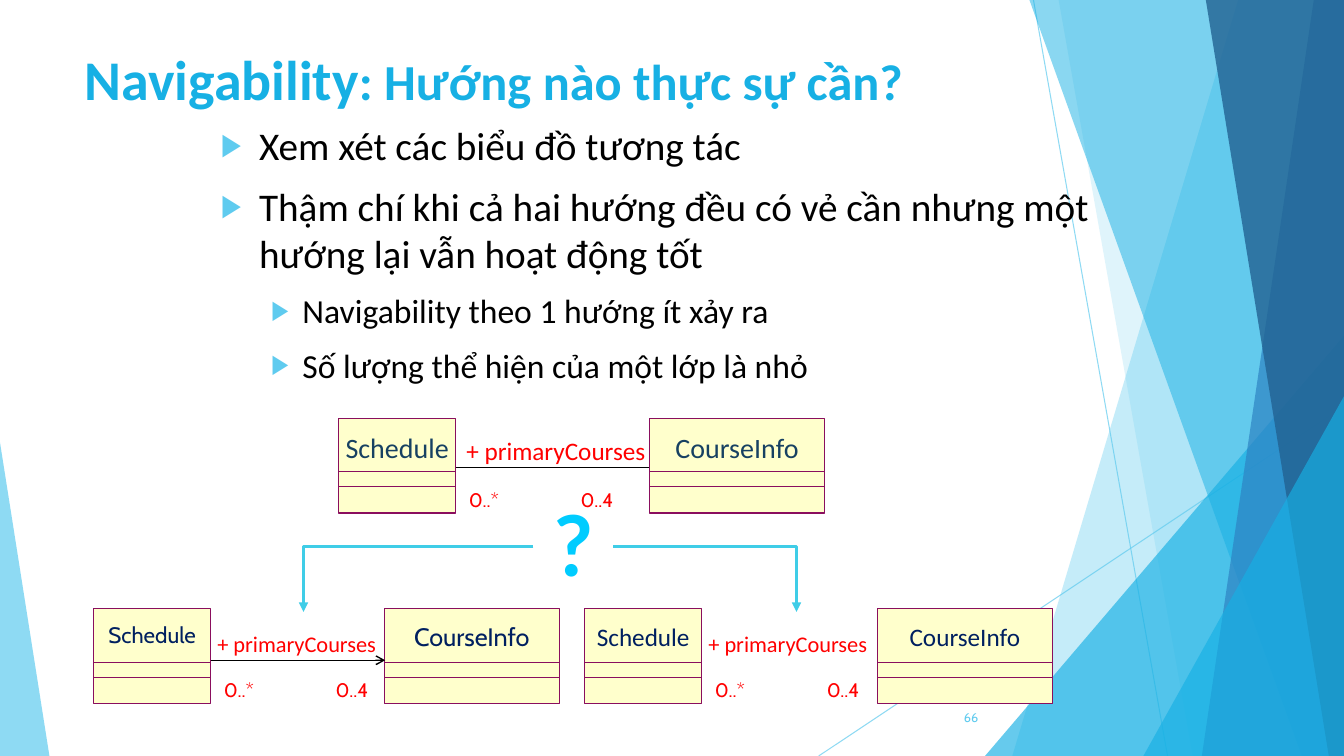
from lxml import etree
from pptx import Presentation, util as u
from pptx.dml.color import RGBColor
from pptx.enum import shapes as s, text as t
from pptx.oxml.ns import qn

INK = {
    "sky": "5FCBEF", "blue": "17B0E4", "steel": "2E83C3", "deep": "226292",
    "black": "000000", "red": "FF0000", "cyan": "00CCFF", "cream": "FFFFCC",
    "plum": "8A0E5E", "navy": "002060", "slate": "174162", "aqua": "3FCDE7",
}
RAYS = [((10.25, 0), (11.58, 7.5)), ((13.33, 4.03), (8.12, 7.5))]
BANDS = [
    ("free", (12.28, 10.04), "sky", 36),
    ("free", (10.5, 11.83), "sky", 20),
    ("tri", (9.77, 3.33, 3.56, 4.17, 1), "blue", 66),
    ("free", (10.21, 12.91), "blue", 50),
    ("free", (13.03, 11.92), "steel", 70),
    ("free", (11.96, 13.18), "deep", 80),
    ("tri", (11.34, 3.93, 1.99, 3.57, 1), "blue", 66),
    ("tri", (0, 4.39, 0.49, 3.11, 0), "sky", 70),
]
TITLE = [("Navigability", 40), (": Hướng nào thực sự cần?", 36)]
POINTS = [
    (0, "Xem xét các biểu đồ tương tác"),
    (0, "Thậm chí khi cả hai hướng đều có vẻ cần nhưng một hướng lại vẫn hoạt động tốt"),
    (1, "Navigability theo 1 hướng ít xảy ra"),
    (1, "Số lượng thể hiện của một lớp là nhỏ"),
]
LEVELS = [(28, 0.38, 0.38), (24, 0.81, 0.31)]
PAIRS = [
    dict(left=0.93, top=6.04, gap=2.88, font="Cabin", sizes=(16, 18), ink="navy",
         role=(1.04, 0.16, 1.86, 0.37, 16)),
    dict(left=5.8, top=6.04, gap=2.9, font="Calibri", sizes=(18, 18), ink="navy",
         role=(1.04, 0.16, 1.86, 0.37, 16)),
    dict(left=3.36, top=4.15, gap=3.08, font="Calibri", sizes=(20, 20), ink="slate",
         role=(1.09, 0.12, 2.05, 0.4, 18)),
]
NAMES = [("Schedule", 1.16), ("CourseInfo", 1.74)]
COUNTS = [("0..*", 1.29, 0.32), ("0..4", 2.4, 0.35)]
FORKS = [[(5.29, 5.42), (3.01, 5.42), (3.01, 6.07)],
         [(6.08, 5.42), (7.9, 5.42), (7.9, 6.07)]]
LINKS = [((4.52, 4.64), (6.44, 4.64), None), ((2.09, 6.55), (3.82, 6.55), "arrow")]


def inch(n):
    return u.Cm(n * 2.54)


def hue(name):
    return RGBColor.from_string(INK[name])


def fade(part, alpha):
    for node in part.iter(qn("a:srgbClr")):
        etree.SubElement(node, qn("a:alpha"), val=str(alpha * 1000))


def stroke(shape, ink, width, tip=None):
    shape.line.color.rgb = hue(ink)
    shape.line.width = u.Pt(width)
    if tip:
        edge = shape._element.spPr.find(qn("a:ln"))
        etree.SubElement(edge, qn("a:tailEnd"), type=tip)


def paint(shape, ink):
    shape.shadow.inherit = False
    shape.fill.solid()
    shape.fill.fore_color.rgb = hue(ink)
    return shape


def rule(start, end, ink, width, tip=None):
    line = slide.shapes.add_connector(
        s.MSO_CONNECTOR.STRAIGHT, *[inch(n) for n in (*start, *end)])
    stroke(line, ink, width, tip)
    etree.SubElement(line._element.spPr, qn("a:effectLst"))
    return line


def trace(dots, close):
    dots = [(inch(x), inch(y)) for x, y in dots]
    pen = slide.shapes.build_freeform(*dots[0])
    pen.add_line_segments(dots[1:], close=close)
    return pen.convert_to_shape()


def write(para, words, size=14, ink="red", font="Calibri", bold=False, align="LEFT"):
    para.alignment = getattr(t.PP_ALIGN, align)
    run = para.add_run()
    run.text = words
    run.font.size = u.Pt(size)
    run.font.name = font
    run.font.bold = bold
    run.font.color.rgb = hue(ink)


def label(words, left, top, wide, high, pad=False, mid=False, **look):
    box = slide.shapes.add_textbox(*[inch(n) for n in (left, top, wide, high)])
    frame = box.text_frame
    frame.word_wrap = pad
    if not pad:
        frame.margin_left = frame.margin_right = 0
        frame.margin_top = frame.margin_bottom = 0
    if mid:
        frame.vertical_anchor = t.MSO_ANCHOR.MIDDLE
    write(frame.paragraphs[0], words, **look)


def place(holder, left, top, wide, high):
    holder.left, holder.top = inch(left), inch(top)
    holder.width, holder.height = inch(wide), inch(high)
    slide.shapes._spTree.append(holder._element)
    frame = holder.text_frame
    frame.word_wrap = True
    frame.auto_size = t.MSO_AUTO_SIZE.NONE
    return frame


def bullet(para, level):
    size, left, hang = LEVELS[level]
    para.level = level
    props = para._p.get_or_add_pPr()
    props.set("marL", str(inch(left)))
    props.set("indent", str(-inch(hang)))
    tint = etree.SubElement(props, qn("a:buClr"))
    etree.SubElement(tint, qn("a:srgbClr"), val=INK["sky"])
    etree.SubElement(props, qn("a:buSzPct"), val="80000")
    etree.SubElement(props, qn("a:buChar"), char="▶")
    return size


def entity(name, left, top, wide, size, font, ink):
    spot = [inch(n) for n in (left, top, wide, 0.94)]
    box = paint(slide.shapes.add_shape(s.MSO_SHAPE.RECTANGLE, *spot), "cream")
    stroke(box, "plum", 0.75)
    for drop in (0.53, 0.68):
        rule((left, top + drop), (left + wide, top + drop), "plum", 0.75)
    label(name, left, top + 0.12, wide, size / 60,
          size=size, font=font, ink=ink, align="CENTER")


deck = Presentation()
deck.slide_width, deck.slide_height = inch(13.33), inch(7.5)
slide = deck.slides.add_slide(deck.slide_layouts[1])

for start, end in RAYS:
    fade(rule(start, end, "sky", 0.75)._element, 70)
for kind, spot, ink, alpha in BANDS:
    if kind == "free":
        band = trace([(spot[0], 0), (13.33, 0), (13.33, 7.5), (spot[1], 7.5)], True)
    else:
        band = slide.shapes.add_shape(
            s.MSO_SHAPE.ISOSCELES_TRIANGLE, *[inch(n) for n in spot[:4]])
        band.adjustments[0] = spot[4]
    paint(band, ink)
    band.line.fill.background()
    fade(band._element, alpha)

head, body = slide.placeholders[0], slide.placeholders[1]
frame = place(head, 0.74, 0.06, 9.4, 1.44)
frame.vertical_anchor = t.MSO_ANCHOR.MIDDLE
for words, size in TITLE:
    write(frame.paragraphs[0], words, size=size, ink="blue", bold=True)

frame = place(body, 2.07, 1.14, 9.21, 5)
frame.margin_left = frame.margin_right = inch(0.12)
frame.margin_top = frame.margin_bottom = inch(0.06)
for i, (level, words) in enumerate(POINTS):
    para = frame.add_paragraph() if i else frame.paragraphs[0]
    size = bullet(para, level)
    para.space_before = u.Pt(10 if i else 0)
    write(para, words, size=size, ink="black")

label("66", 9.05, 6.92, 0.75, 0.4, pad=True, mid=True,
      size=9, font="Cabin", ink="sky", align="RIGHT")
label("?", 5.3, 4.84, 0.78, 1.1, pad=True,
      size=60, font="Lato", ink="cyan", bold=True, align="CENTER")

for pair in PAIRS:
    left, top = pair["left"], pair["top"]
    for i, (name, wide) in enumerate(NAMES):
        entity(name, left + i * pair["gap"], top, wide,
               pair["sizes"][i], pair["font"], pair["ink"])
    for words, shift, wide in COUNTS:
        label(words, left + shift, top + 0.69, wide, 0.24, font="Cabin")
    shift, drop, wide, high, size = pair["role"]
    label("+ primaryCourses", left + shift, top + drop, wide, high,
          pad=True, size=size, align="RIGHT")

for dots in FORKS:
    fork = trace(dots, False)
    fork.shadow.inherit = False
    fork.fill.background()
    stroke(fork, "aqua", 2.25, "triangle")
for start, end, tip in LINKS:
    rule(start, end, "black", 1, tip)

deck.save("out.pptx")
